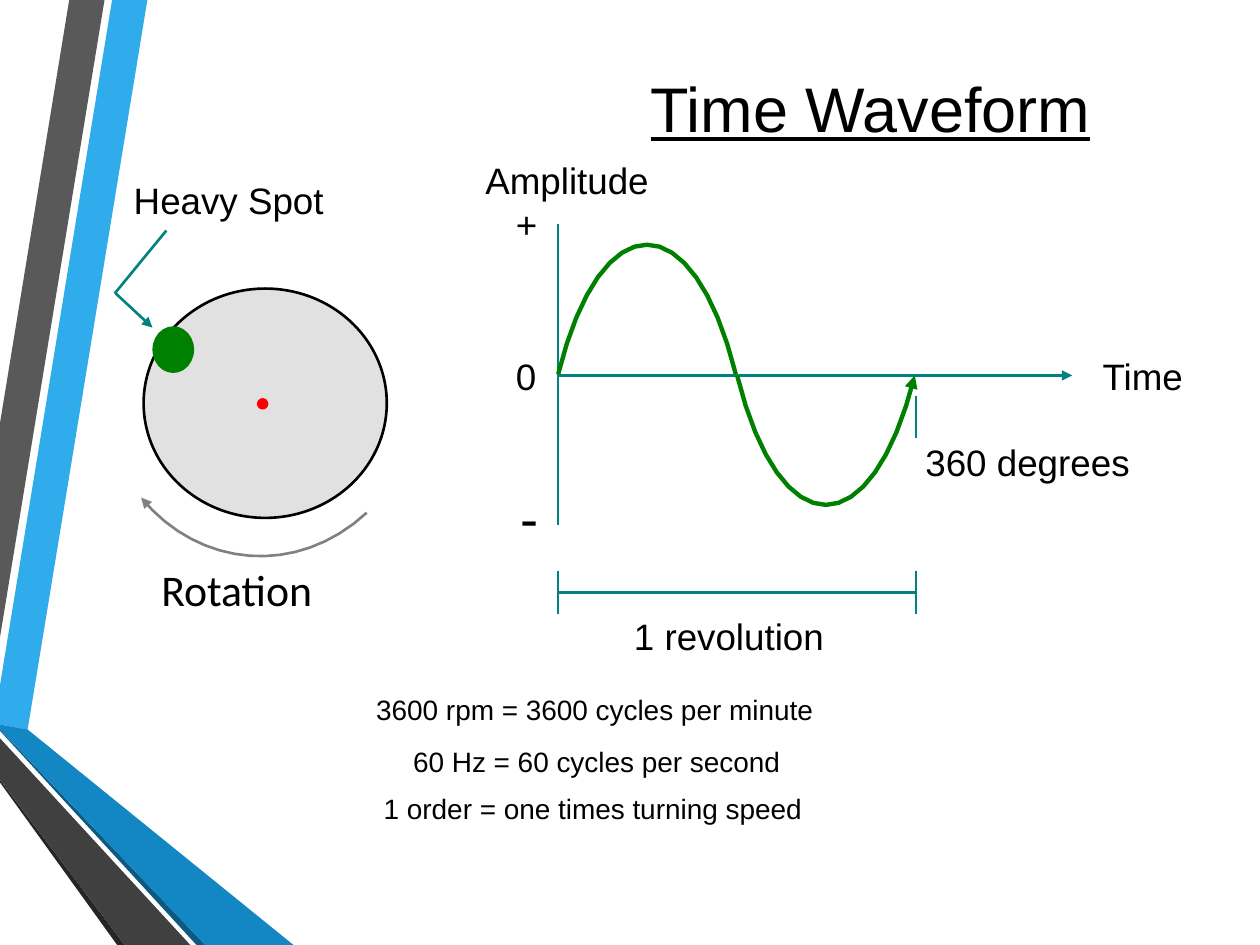
from lxml import etree
from pptx import Presentation
from pptx.dml.color import RGBColor
from pptx.enum.shapes import MSO_CONNECTOR, MSO_SHAPE
from pptx.enum.text import MSO_ANCHOR, PP_ALIGN
from pptx.oxml.ns import qn
from pptx.util import Inches, Pt

STRAIGHT = MSO_CONNECTOR.STRAIGHT
OVAL = MSO_SHAPE.OVAL
LEFT, CENTER = PP_ALIGN.LEFT, PP_ALIGN.CENTER
TOP, MIDDLE = MSO_ANCHOR.TOP, MSO_ANCHOR.MIDDLE

BLACK = RGBColor(0x00, 0x00, 0x00)
SKY = RGBColor(0x30, 0xAC, 0xEC)
BLUE = RGBColor(0x12, 0x87, 0xC3)
NAVY = RGBColor(0x0C, 0x5A, 0x82)
GRAY = RGBColor(0x59, 0x59, 0x59)
DARK = RGBColor(0x40, 0x40, 0x40)
DARKER = RGBColor(0x26, 0x26, 0x26)
DISC = RGBColor(0xE1, 0xE1, 0xE1)
ARC = RGBColor(0x80, 0x80, 0x80)
GREEN = RGBColor(0x00, 0x80, 0x00)
RED = RGBColor(0xFF, 0x00, 0x00)
TEAL = RGBColor(0x00, 0x82, 0x80)

prs = Presentation()
prs.slide_width, prs.slide_height = Inches(10), Inches(7.5)
s = prs.slides.add_slide(prs.slide_layouts[6])


def outline(points, closed):
    """Freeform through points given in inches."""
    emu = [(Inches(x), Inches(y)) for x, y in points]
    fb = s.shapes.build_freeform(*emu[0])
    fb.add_line_segments(emu[1:], close=closed)
    sp = fb.convert_to_shape()
    sp.shadow.inherit = False
    return sp


def style_line(sp, color, width, arrow=None):
    """Line colour and width; arrow is headEnd, tailEnd or None."""
    sp.line.color.rgb = color
    sp.line.width = Pt(width)
    if arrow:
        etree.SubElement(sp.line._get_or_add_ln(), qn("a:" + arrow), type="triangle")


# Ribbons on the left edge
ribbons = [
    (SKY, [(0, 5.44), (0, 5.75), (0.22, 5.79), (1.17, 0), (0.89, 0)]),
    (GRAY, [(0.83, 0), (0.55, 0), (0, 3.36), (0, 5.06)]),
    (DARKER, [(0, 6.19), (0, 6.21), (0.93, 7.5), (0.99, 7.5)]),
    (NAVY, [(0, 5.79), (0, 5.8), (1.56, 7.5), (1.63, 7.5)]),
    (BLUE, [(0, 5.79), (1.63, 7.5), (2.33, 7.5), (0.22, 5.79), (0, 5.75)]),
    (DARK, [(0, 6.19), (0.99, 7.5), (1.51, 7.5), (0, 5.86)]),
]
for color, points in ribbons:
    sp = outline(points, True)
    sp.fill.solid()
    sp.fill.fore_color.rgb = color
    sp.line.fill.background()

# Rotor, shaft centre and heavy spot
ovals = [
    (1.14, 2.29, 1.93, 1.82, DISC, BLACK),
    (2.05, 3.17, 0.07, 0.07, RED, RED),
    (1.22, 2.6, 0.31, 0.35, GREEN, GREEN),
]
for x, y, w, h, fill, line in ovals:
    sp = s.shapes.add_shape(OVAL, Inches(x), Inches(y), Inches(w), Inches(h))
    sp.shadow.inherit = False
    sp.fill.solid()
    sp.fill.fore_color.rgb = fill
    style_line(sp, line, 1.5)

# Axes, revolution bracket and heavy spot pointer
X0, X1 = 4.43, 7.27
lines = [
    (0.92, 2.33, 1.21, 2.6, "tailEnd"),
    (1.32, 1.83, 0.91, 2.33, None),
    (X0, 2.98, 8.51, 2.98, "tailEnd"),
    (X0, 1.78, X0, 4.17, None),
    (X0, 4.7, X1, 4.7, None),
    (X0, 4.53, X0, 4.87, None),
    (X1, 4.53, X1, 4.87, None),
    (X1, 3.14, X1, 3.48, None),
]
for x1, y1, x2, y2, arrow in lines:
    sp = s.shapes.add_connector(STRAIGHT, Inches(x1), Inches(y1), Inches(x2), Inches(y2))
    style_line(sp, TEAL, 1.5, arrow)
    etree.SubElement(sp._element.spPr, qn("a:effectLst"))

# Rotation arc and the two half waves, each a cubic curve in 16 steps
STEPS = 16
curves = [
    ([(1.12, 3.95), (1.58, 4.51), (2.36, 4.58), (2.91, 4.07)], ARC, 1.5, "headEnd"),
    ([(5.84, 2.97), (5.5, 1.6), (4.77, 1.6), (4.43, 2.97)], GREEN, 2.5, None),
    ([(7.26, 2.98), (6.92, 4.35), (6.19, 4.35), (5.85, 2.98)], GREEN, 2.5, "headEnd"),
]
for controls, color, width, arrow in curves:
    points = []
    for i in range(STEPS + 1):
        t = i / STEPS
        weights = ((1 - t) ** 3, 3 * t * (1 - t) ** 2, 3 * t * t * (1 - t), t ** 3)
        points.append([sum(k * c for k, c in zip(weights, axis)) for axis in zip(*controls)])
    sp = outline(points, False)
    sp.fill.background()
    style_line(sp, color, width, arrow)

# Title, labels and notes on speed
labels = [
    ("Time Waveform", 4.95, 0.55, 3.92, 0.58, 36),
    ("Heavy Spot", 0.99, 1.41, 1.65, 0.34, 21),
    ("Rotation", 1.28, 4.41, 1.68, 0.53, 25),
    ("Amplitude", 3.79, 1.25, 1.42, 0.34, 21),
    ("+", 4.08, 1.6, 0.2, 0.34, 21),
    ("0", 4.08, 2.81, 0.19, 0.34, 21),
    ("-", 4.12, 3.84, 0.17, 0.5, 31),
    ("Time", 8.71, 2.81, 0.72, 0.34, 21),
    ("360 degrees", 7.27, 3.49, 1.77, 0.34, 21),
    ("1 revolution", 4.96, 4.87, 1.65, 0.34, 21),
    ("3600 rpm = 3600 cycles per minute", 1.25, 5.5, 6.94, 0.34, 16),
    ("60 Hz = 60 cycles per second", 1.24, 5.91, 6.99, 0.34, 16),
    ("1 order = one times turning speed", 1.14, 6.28, 7.13, 0.34, 16),
]
for text, x, y, w, h, size in labels:
    body = text == "Rotation"
    tf = s.shapes.add_textbox(Inches(x), Inches(y), Inches(w), Inches(h)).text_frame
    tf.word_wrap = True
    tf.margin_left = tf.margin_right = tf.margin_top = tf.margin_bottom = 0
    tf.vertical_anchor = MIDDLE if body else TOP
    p = tf.paragraphs[0]
    p.text = text
    p.alignment = LEFT if body else CENTER
    p.font.name = "Calibri" if body else "Arial"
    p.font.size = Pt(size)
    p.font.color.rgb = BLACK
    if text == "Time Waveform":
        p.font.underline = True

prs.save("out.pptx")
